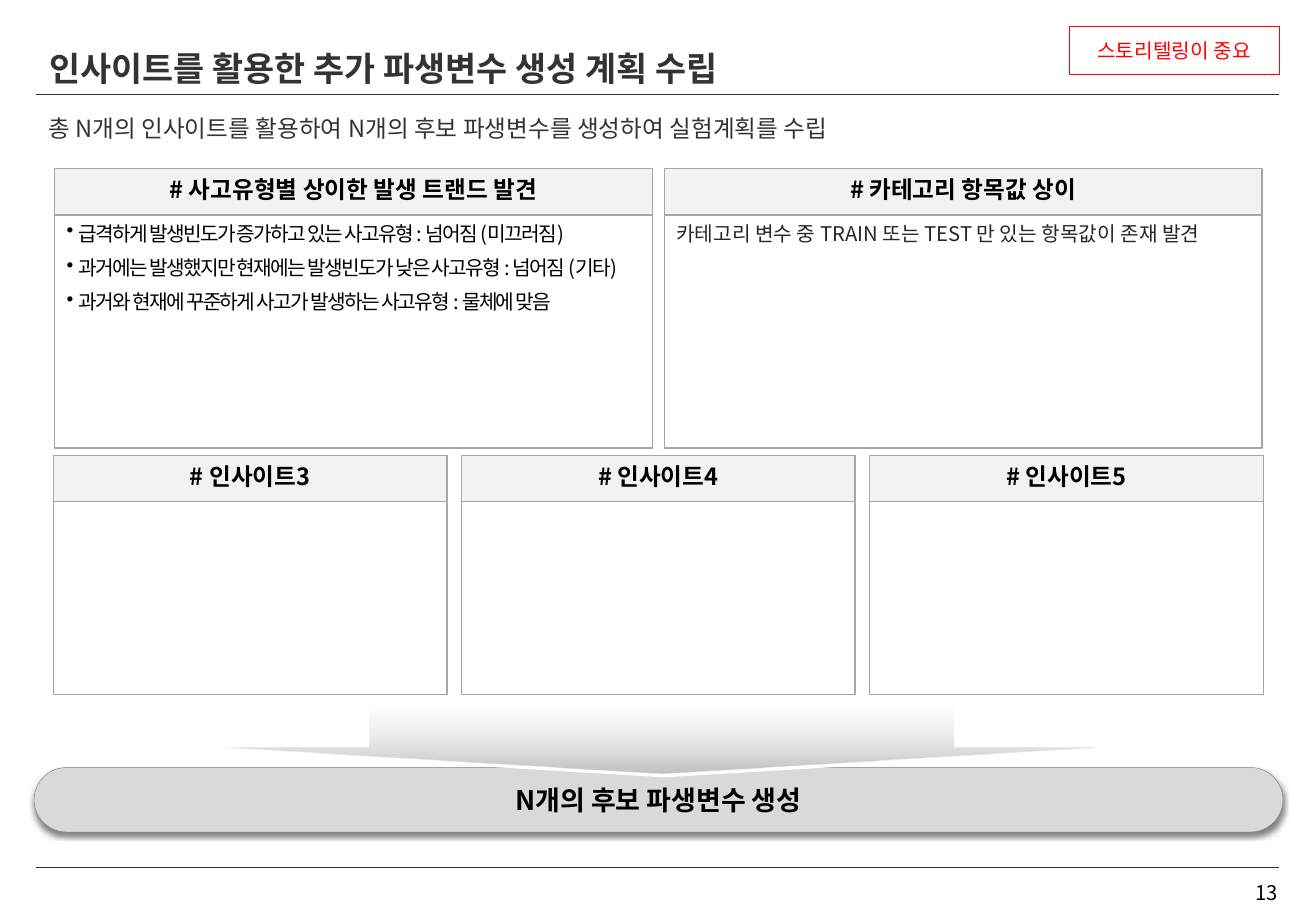
from dataclasses import dataclass

from lxml.etree import SubElement
from pptx import Presentation
from pptx.dml.color import RGBColor
from pptx.enum.shapes import MSO_CONNECTOR, MSO_SHAPE
from pptx.enum.text import MSO_ANCHOR, PP_ALIGN
from pptx.oxml.ns import qn
from pptx.util import Pt


@dataclass(frozen=True)
class Theme:
    font: str = "Noto Sans CJK KR"
    black: str = "000000"
    white: str = "FFFFFF"
    ink: str = "333333"
    body_ink: str = "262626"
    red: str = "FF0000"
    header_fill: str = "F2F2F2"
    panel_line: str = "A6A6A6"
    pill_fill: str = "D9D9D9"
    pill_line: str = "808080"
    # Position, colour and opacity in percent
    arrow_stops: tuple = ((0, "D9D9D9", 3), (50, "B7B7B7", 31), (100, "808080", 50))
    title_size: int = 20
    result_size: int = 16
    heading_size: int = 14
    body_size: int = 12


class SlideBuilder:
    def __init__(self, slide, theme):
        self.slide = slide
        self.theme = theme

    def rule(self, left, right, top):
        line = self.slide.shapes.add_connector(
            MSO_CONNECTOR.STRAIGHT, Pt(left), Pt(top), Pt(right), Pt(top))
        line.line.color.rgb = RGBColor.from_string(self.theme.ink)
        line.line.width = Pt(0.5)
        SubElement(line._element.spPr, qn("a:effectLst"))

    def shape(self, kind, box, fill=None, line=None, line_width=0.75):
        shape = self.slide.shapes.add_shape(kind, *map(Pt, box))
        shape.shadow.inherit = False
        if fill:
            shape.fill.solid()
            shape.fill.fore_color.rgb = RGBColor.from_string(fill)
        else:
            shape.fill.background()
        if line:
            shape.line.color.rgb = RGBColor.from_string(line)
            shape.line.width = Pt(line_width)
        else:
            shape.line.fill.background()
        return shape

    def text_box(self, box, text, size, color, **style):
        shape = self.slide.shapes.add_textbox(*map(Pt, box))
        self.set_text(shape, [text], size, color, **style)

    def set_text(self, shape, lines, size, color, bold=False, align=PP_ALIGN.LEFT,
                 anchor=MSO_ANCHOR.TOP, bullets=False, line_spacing=None):
        frame = shape.text_frame
        frame.word_wrap = True
        frame.vertical_anchor = anchor
        for index, line in enumerate(lines):
            paragraph = frame.paragraphs[0] if index == 0 else frame.add_paragraph()
            paragraph.text = line
            paragraph.alignment = align
            if line_spacing:
                paragraph.line_spacing = line_spacing
            if index:
                paragraph.space_before = Pt(6)
            if bullets:
                properties = paragraph._p.get_or_add_pPr()
                properties.set("marL", str(Pt(7.2)))
                properties.set("indent", str(-Pt(7.2)))
                SubElement(properties, qn("a:buChar"), char="•")
            font = paragraph.font
            font.name = self.theme.font
            font.size = Pt(size)
            font.bold = bold
            font.color.rgb = RGBColor.from_string(color)
            SubElement(font._element, qn("a:ea"), typeface=self.theme.font)
            if bullets:
                font._element.set("spc", "-100")

    def panel(self, left, top, width, body_height, heading, lines=(),
              fill=None, color=None, bullets=False):
        theme = self.theme
        header_height = 27.4
        header = self.shape(MSO_SHAPE.RECTANGLE, (left, top, width, header_height),
                            theme.header_fill, theme.panel_line)
        self.set_text(header, [heading], theme.heading_size, theme.black,
                      bold=True, align=PP_ALIGN.CENTER)
        body = self.shape(MSO_SHAPE.RECTANGLE,
                          (left, top + header_height, width, body_height),
                          fill, theme.panel_line)
        if lines:
            self.set_text(body, lines, theme.body_size, color, bullets=bullets)

    def down_arrow(self, left, top, fill=None, stops=()):
        arrow = self.shape(MSO_SHAPE.DOWN_ARROW, (left, top, 516.2, 41), fill)
        arrow.adjustments[0] = 0.67
        arrow.adjustments[1] = 0.38
        if stops:
            arrow.fill.gradient()
            gradient = arrow._element.spPr.find(qn("a:gradFill"))
            for child in list(gradient):
                gradient.remove(child)
            stop_list = SubElement(gradient, qn("a:gsLst"))
            for position, color, opacity in stops:
                stop = SubElement(stop_list, qn("a:gs"), pos=str(position * 1000))
                tint = SubElement(stop, qn("a:srgbClr"), val=color)
                SubElement(tint, qn("a:alpha"), val=str(opacity * 1000))
            SubElement(gradient, qn("a:lin"), ang=str(90 * 60000), scaled="0")

    def pill(self, box, text):
        theme = self.theme
        pill = self.shape(MSO_SHAPE.ROUNDED_RECTANGLE, box,
                          theme.pill_fill, theme.pill_line, 0.25)
        pill.adjustments[0] = 0.5
        effects = pill._element.spPr.find(qn("a:effectLst"))
        shadow = SubElement(effects, qn("a:outerShdw"), blurRad=str(Pt(3)),
                            dist=str(Pt(2)), dir=str(90 * 60000), rotWithShape="0")
        color = SubElement(shadow, qn("a:srgbClr"), val=theme.black)
        SubElement(color, qn("a:alpha"), val="50000")
        self.set_text(pill, [text], theme.result_size, theme.black, bold=True,
                      align=PP_ALIGN.CENTER, anchor=MSO_ANCHOR.MIDDLE)


def main():
    presentation = Presentation()
    presentation.slide_width = Pt(780)
    presentation.slide_height = Pt(540)
    theme = Theme()
    builder = SlideBuilder(
        presentation.slides.add_slide(presentation.slide_layouts[6]), theme)

    # Frame: rules, title, subtitle, page number
    for top in (514, 56.2):
        builder.rule(21.6, 758.2, top)
    builder.text_box((22.3, 29.5, 480.2, 21.6),
                     "인사이트를 활용한 추가 파생변수 생성 계획 수립",
                     theme.title_size, theme.ink, bold=True, anchor=MSO_ANCHOR.MIDDLE)
    builder.text_box((21.6, 60.5, 743, 37.4),
                     "총 N개의 인사이트를 활용하여 N개의 후보 파생변수를 생성하여 실험계획를 수립",
                     theme.heading_size, theme.ink, line_spacing=1.2)
    builder.text_box((582.5, 518.4, 182.2, 20.9), "13",
                     theme.body_size, theme.black, align=PP_ALIGN.RIGHT)

    # Conclusion and the arrow leading to it
    builder.pill((20.2, 455, 740.2, 38.2), "N개의 후보 파생변수 생성")
    builder.down_arrow(135.4, 419.8, fill=theme.white)
    builder.down_arrow(134, 417.6, stops=theme.arrow_stops)

    # Upper insights
    upper_panels = (
        ("# 사고유형별 상이한 발생 트랜드 발견",
         ("급격하게 발생빈도가 증가하고 있는 사고유형 : 넘어짐 (미끄러짐)",
          "과거에는 발생했지만 현재에는 발생빈도가 낮은 사고유형 : 넘어짐 (기타)",
          "과거와 현재에 꾸준하게 사고가 발생하는 사고유형 : 물체에 맞음"),
         theme.black, True),
        ("# 카테고리 항목값 상이",
         ("카테고리 변수 중 TRAIN 또는 TEST 만 있는 항목값이 존재 발견",),
         theme.body_ink, False),
    )
    for column, (heading, lines, color, bullets) in enumerate(upper_panels):
        builder.panel(32.4 + column * 361.4, 100, 354.2, 138.2, heading, lines,
                      color=color, bullets=bullets)

    # Lower insights
    for column in range(3):
        builder.panel(31.7 + column * 241.9, 270, 233.3, 114.5,
                      f"# 인사이트{column + 3}", fill=theme.white)

    # Callout
    callout = builder.shape(MSO_SHAPE.RECTANGLE, (633.6, 15.8, 124.6, 28.1),
                            theme.white, theme.red, 0.25)
    builder.set_text(callout, ["스토리텔링이 중요"], theme.body_size, theme.red,
                     align=PP_ALIGN.CENTER, anchor=MSO_ANCHOR.MIDDLE)

    presentation.save("out.pptx")


if __name__ == "__main__":
    main()
